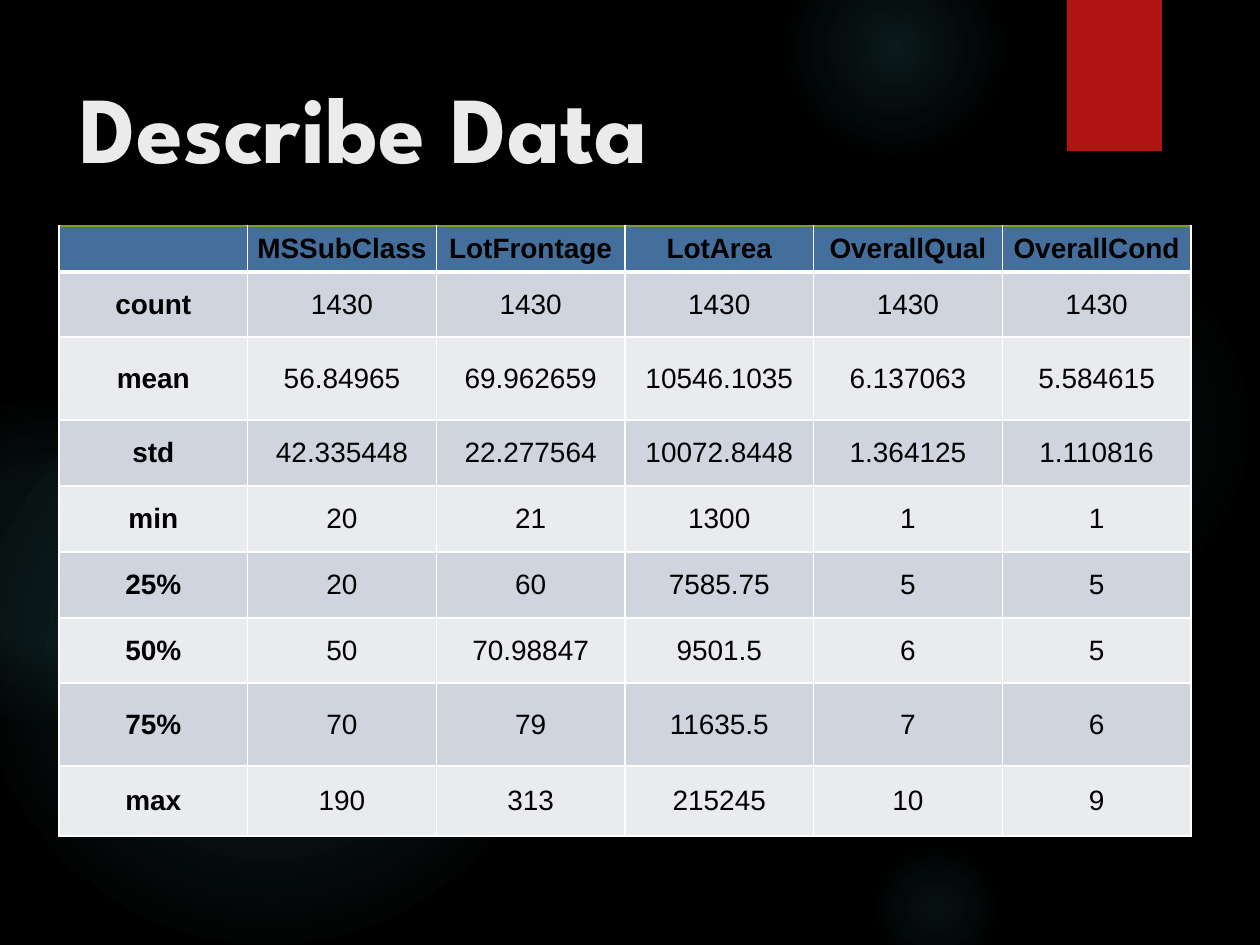
from lxml.etree import fromstring
from pptx import Presentation
from pptx.dml.color import RGBColor
from pptx.enum.shapes import MSO_SHAPE
from pptx.enum.text import MSO_ANCHOR, PP_ALIGN
from pptx.oxml.ns import nsdecls, qn
from pptx.util import Emu, Pt

SCALE = 914400 / 126
NS = nsdecls("a")


def px(length):
    return Emu(round(length * SCALE))


def paint(color_format, hex_color):
    color_format.rgb = RGBColor.from_string(hex_color)


prs = Presentation()
prs.slide_width, prs.slide_height = px(1260), px(945)
slide = prs.slides.add_slide(prs.slide_layouts[5])
background = slide.background.fill
background.solid()
paint(background.fore_color, "000000")

# Soft glows: left, top, diameter, then (position, opacity) stops in percent
glows = [
    (868, 231, 388, [(0, 7), (36, 6), (69, 0)]),
    (784, -63, 221, [(0, 14), (36, 7), (73, 0)]),
    (868, 840, 136, [(0, 9), (36, 5), (66, 0)]),
    (-21, 368, 577, [(0, 11), (36, 10), (75, 0)]),
    (-116, 399, 325, [(0, 8), (36, 8), (72, 0)]),
]
for left, top, diameter, stops in glows:
    glow = slide.shapes.add_shape(MSO_SHAPE.OVAL, px(left), px(top), px(diameter), px(diameter))
    glow.shadow.inherit = False
    glow.line.fill.background()
    glow.fill.background()
    stop_xml = "".join(
        f'<a:gs pos="{position * 1000}"><a:srgbClr val="50B9C1">'
        f'<a:alpha val="{opacity * 1000}"/></a:srgbClr></a:gs>'
        for position, opacity in stops
    )
    gradient = fromstring(
        f'<a:gradFill {NS} rotWithShape="1"><a:gsLst>{stop_xml}</a:gsLst>'
        '<a:path path="circle"><a:fillToRect l="50000" t="50000" r="50000" b="50000"/>'
        "</a:path></a:gradFill>"
    )
    properties = glow.element.spPr
    properties.replace(properties.find(qn("a:noFill")), gradient)

ribbon = slide.shapes.add_shape(MSO_SHAPE.RECTANGLE, px(1067), 0, px(95), px(151))
ribbon.shadow.inherit = False
ribbon.line.fill.background()
ribbon.fill.solid()
paint(ribbon.fill.fore_color, "B01513")
ribbon.element.spPr.find(qn("a:effectLst")).append(fromstring(
    f'<a:outerShdw {NS} blurRad="{Pt(3)}" dist="{Pt(2)}" dir="5400000" rotWithShape="0">'
    '<a:srgbClr val="000000"><a:alpha val="45000"/></a:srgbClr></a:outerShdw>'
))

title = slide.shapes.title
title.left, title.top, title.width, title.height = px(67), px(63), px(973), px(193)
title.text_frame.text = "Describe Data"
title.text_frame.vertical_anchor = MSO_ANCHOR.TOP
heading = title.text_frame.paragraphs[0]
heading.alignment = PP_ALIGN.LEFT
heading_font = heading.runs[0].font
heading_font.name, heading_font.size, heading_font.bold = "League Spartan", Pt(54), True
paint(heading_font.color, "EBEBEB")
title.element.getparent().append(title.element)  # in front of the glows

statistics = [
    ["", "MSSubClass", "LotFrontage", "LotArea", "OverallQual", "OverallCond"],
    ["count", "1430", "1430", "1430", "1430", "1430"],
    ["mean", "56.84965", "69.962659", "10546.1035", "6.137063", "5.584615"],
    ["std", "42.335448", "22.277564", "10072.8448", "1.364125", "1.110816"],
    ["min", "20", "21", "1300", "1", "1"],
    ["25%", "20", "60", "7585.75", "5", "5"],
    ["50%", "50", "70.98847", "9501.5", "6", "5"],
    ["75%", "70", "79", "11635.5", "7", "6"],
    ["max", "190", "313", "215245", "10", "9"],
]
row_heights = [46, 65, 83, 66, 66, 66, 65, 83, 70]
table = slide.shapes.add_table(
    len(statistics), len(statistics[0]), px(59), px(226), px(1132), px(sum(row_heights))
).table

for row, (values, height) in enumerate(zip(statistics, row_heights)):
    table.rows[row].height = px(height)
    row_fill = "446F9D" if row == 0 else "CFD4DF" if row % 2 else "E9EBEF"
    top_border = ("83992A", 1.5) if row == 0 else ("FFFFFF", 3 if row == 1 else 1)
    borders = {
        "lnL": ("FFFFFF", 1),
        "lnR": ("FFFFFF", 1),
        "lnT": top_border,
        "lnB": ("FFFFFF", 3 if row == 0 else 1),
    }
    for column, value in enumerate(values):
        cell = table.cell(row, column)
        cell.margin_left = cell.margin_right = cell.margin_top = cell.margin_bottom = 0
        cell.vertical_anchor = MSO_ANCHOR.MIDDLE
        cell.fill.solid()
        paint(cell.fill.fore_color, row_fill)
        cell_properties = cell._tc.get_or_add_tcPr()
        for order, (side, (color, width)) in enumerate(borders.items()):
            cell_properties.insert(order, fromstring(
                f'<a:{side} {NS} w="{Pt(width)}"><a:solidFill><a:srgbClr val="{color}"/>'
                f"</a:solidFill></a:{side}>"
            ))
        cell.text_frame.text = value
        paragraph = cell.text_frame.paragraphs[0]
        paragraph.alignment = PP_ALIGN.CENTER
        for run in paragraph.runs:
            run.font.name, run.font.size = "Arial", Pt(16)
            run.font.bold = row == 0 or column == 0
            paint(run.font.color, "000000")

prs.save("out.pptx")
